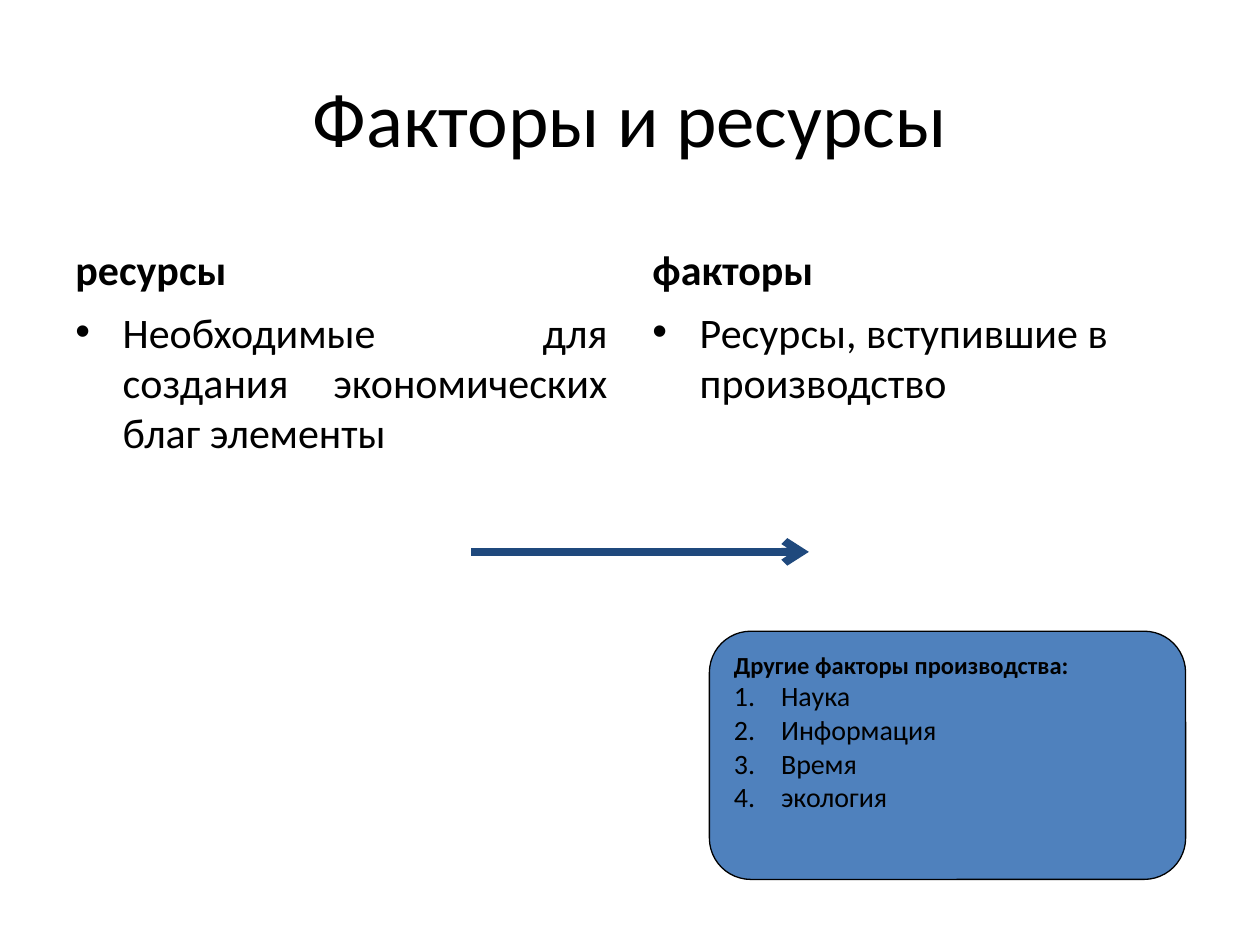
import pptx
import pptx.dml.color
import pptx.enum.shapes
import pptx.enum.text
import pptx.oxml
import pptx.oxml.ns
import pptx.util
from pptx.util import Inches

ALIGN = pptx.enum.text.PP_ALIGN
ANCHOR = pptx.enum.text.MSO_ANCHOR
BLACK, NAVY, BLUE = "000000", "1F497D", "4F81BD"
LIST_INDENT = Inches(0.375)


def rgb(value):
    return pptx.dml.color.RGBColor.from_string(value)


def add_xml(parent, tag, **attributes):
    child = pptx.oxml.parse_xml(f"<a:{tag} {pptx.oxml.ns.nsdecls('a')}/>")
    for name, value in attributes.items():
        child.set(name, value)
    parent.append(child)
    return child


def format_text(paragraph, text, size, bold=False, align=ALIGN.LEFT):
    paragraph.text = text
    paragraph.alignment = align
    font = paragraph.runs[0].font
    values = {"name": "Calibri", "size": pptx.util.Pt(size), "bold": bold}
    for name, value in values.items():
        setattr(font, name, value)
    font.color.rgb = rgb(BLACK)


def hang_marker(paragraph, tag, **attributes):
    """Give the paragraph a hanging bullet or number."""
    properties = paragraph._p.get_or_add_pPr()
    properties.set("marL", str(LIST_INDENT))
    properties.set("indent", str(-LIST_INDENT))
    add_xml(properties, "buFont", typeface="Arial" if tag == "buChar" else "+mj-lt")
    add_xml(properties, tag, **attributes)


def place_title(slide, box, text):
    title = slide.shapes.title
    for name, value in zip(("left", "top", "width", "height"), box):
        setattr(title, name, Inches(value))
    title.text_frame.vertical_anchor = ANCHOR.MIDDLE
    format_text(title.text_frame.paragraphs[0], text, 44, align=ALIGN.CENTER)


def add_text_frame(slide, box, anchor):
    frame = slide.shapes.add_textbox(*map(Inches, box)).text_frame
    frame.word_wrap = True
    frame.vertical_anchor = anchor
    return frame


def add_column(slide, box, heading, definition, align):
    left, top, width, height = box
    heading_height = 0.7
    head = add_text_frame(slide, (left, top, width, heading_height), ANCHOR.BOTTOM)
    format_text(head.paragraphs[0], heading, 24, bold=True)
    body_box = (left, top + heading_height, width, height - heading_height)
    point = add_text_frame(slide, body_box, ANCHOR.TOP).paragraphs[0]
    hang_marker(point, "buChar", char="•")
    format_text(point, definition, 24, align=align)


def add_arrow(slide, start, end):
    arrow = slide.shapes.add_connector(
        pptx.enum.shapes.MSO_CONNECTOR.STRAIGHT, *map(Inches, start + end))
    arrow.line.color.rgb = rgb(NAVY)
    arrow.line.width = pptx.util.Pt(4.5)
    add_xml(arrow.line._get_or_add_ln(), "tailEnd", type="arrow")
    add_xml(arrow._element.spPr, "effectLst")


def add_factor_card(slide, box, heading, factors):
    card = slide.shapes.add_shape(
        pptx.enum.shapes.MSO_SHAPE.ROUNDED_RECTANGLE, *map(Inches, box))
    card.shadow.inherit = False
    card.fill.solid()
    card.fill.fore_color.rgb = rgb(BLUE)
    card.line.color.rgb = rgb(BLACK)
    card.line.width = pptx.util.Pt(0.75)
    frame = card.text_frame
    frame.word_wrap = True
    frame.vertical_anchor = ANCHOR.TOP
    format_text(frame.paragraphs[0], heading, 14, bold=True)
    for factor in factors:
        item = frame.add_paragraph()
        hang_marker(item, "buAutoNum", type="arabicPeriod")
        format_text(item, factor, 16)


def main():
    deck = pptx.Presentation()
    deck.slide_width, deck.slide_height = Inches(10), Inches(7.5)
    slide = deck.slides.add_slide(deck.slide_layouts[5])
    place_title(slide, (0.5, 0.3, 9, 1.25), "Факторы и ресурсы")
    columns = (
        ("ресурсы", "Необходимые для создания экономических благ элементы", ALIGN.JUSTIFY),
        ("факторы", "Ресурсы, вступившие в производство", ALIGN.LEFT),
    )
    column_width, gap = 4.42, 0.16
    for index, column in enumerate(columns):
        left = 0.5 + index * (column_width + gap)
        add_column(slide, (left, 1.68, column_width, 5.02), *column)
    add_arrow(slide, (3.74, 4.38), (6.42, 4.38))
    add_factor_card(slide, (5.63, 5.01, 3.78, 1.97), "Другие факторы производства:",
                    ("Наука", "Информация", "Время", "экология"))
    deck.save("out.pptx")


if __name__ == "__main__":
    main()
